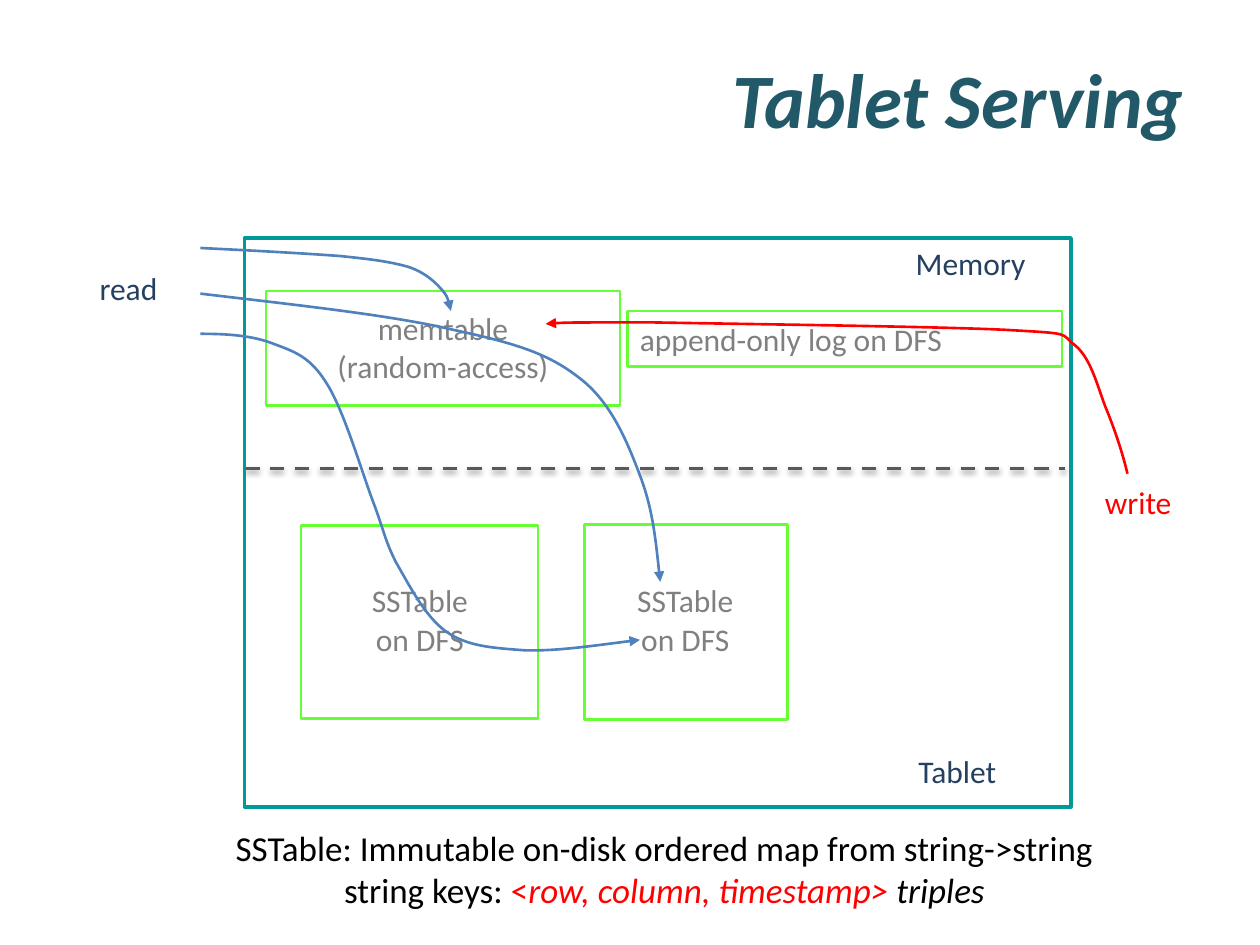
from lxml import etree
from pptx import Presentation
from pptx import util as u
from pptx.dml import color
from pptx.enum import dml, shapes, text
from pptx.oxml import ns, parse_xml

theme = {
    "font": "Calibri",
    "title": "215968", "navy": "254061", "grey": "808080", "black": "000000",
    "write": "FF0000", "read": "4F81BD", "store": "66FF33", "tablet": "009999",
    "divider": "595959",
    "title_size": 44, "label_size": 18, "caption_size": 20,
}
CENTER, LEFT, RIGHT = text.PP_ALIGN.CENTER, text.PP_ALIGN.LEFT, text.PP_ALIGN.RIGHT


def write_text(frame, lines, size, align):
    """Each line is a list of runs: (wording, colour name, italic, bold)."""
    for index, runs in enumerate(lines):
        paragraph = frame.add_paragraph() if index else frame.paragraphs[0]
        paragraph.alignment = align
        for wording, colour, italic, bold in runs:
            run = paragraph.add_run()
            run.text = wording
            run.font.name = theme["font"]
            run.font.size = u.Pt(size)
            run.font.italic = italic
            run.font.bold = bold
            run.font.color.rgb = color.RGBColor.from_string(theme[colour])


def style_line(shape, colour, width):
    shape.line.color.rgb = color.RGBColor.from_string(theme[colour])
    shape.line.width = u.Pt(width)


presentation = Presentation()
presentation.slide_width, presentation.slide_height = u.Cm(25.4), u.Cm(19.05)
slide = presentation.slides.add_slide(presentation.slide_layouts[5])

# Title
title = slide.shapes.title
title.left, title.top, title.width, title.height = u.Cm(1.27), u.Cm(0.76), u.Cm(22.86), u.Cm(2.41)
title.text_frame.vertical_anchor = text.MSO_ANCHOR.MIDDLE
write_text(title.text_frame, [[("Tablet Serving", "title", True, True)]], theme["title_size"], RIGHT)

# Dashed divider between memory and disk, with a soft shadow
divider = slide.shapes.add_connector(
    shapes.MSO_CONNECTOR.STRAIGHT, u.Cm(4.95), u.Cm(9.45), u.Cm(21.46), u.Cm(9.45))
style_line(divider, "divider", 2)
divider.line.dash_style = dml.MSO_LINE.DASH
divider._element.spPr.append(parse_xml(
    f'<a:effectLst {ns.nsdecls("a")}>'
    '<a:outerShdw blurRad="40000" dist="20000" dir="5400000" rotWithShape="0">'
    '<a:srgbClr val="000000"><a:alpha val="38000"/></a:srgbClr>'
    '</a:outerShdw></a:effectLst>'))

# Boxes and labels: left, top, width, height, outline, outline width, lines, text colour, alignment
sstable = ["SSTable", "on DFS"]
boxes = [
    (6.07, 10.59, 4.78, 3.89, "store", 1.5, [], None, CENTER),
    (6.99, 11.66, 2.95, 1.78, None, 0, sstable, "grey", CENTER),
    (11.79, 10.57, 4.09, 3.94, "store", 1.5, [], None, CENTER),
    (12.34, 11.66, 2.95, 1.78, None, 0, sstable, "grey", CENTER),
    (5.36, 5.87, 7.14, 2.31, "store", 1.5, ["memtable", "(random-access)"], "grey", CENTER),
    (22.02, 9.68, 1.85, 1.02, None, 0, ["write"], "write", CENTER),
    (1.75, 5.36, 1.68, 0.99, None, 0, ["read"], "navy", CENTER),
    (4.93, 4.8, 16.66, 11.46, "tablet", 2.25, [], None, CENTER),
    (18.26, 15.11, 2.08, 0.99, None, 0, ["Tablet"], "navy", CENTER),
    (12.65, 6.27, 8.76, 1.12, "store", 1.5, ["append-only log on DFS"], "grey", LEFT),
]
for left, top, width, height, outline, line_width, lines, colour, align in boxes:
    box = slide.shapes.add_shape(
        shapes.MSO_SHAPE.ROUNDED_RECTANGLE, u.Cm(left), u.Cm(top), u.Cm(width), u.Cm(height))
    box.adjustments[0] = 0
    box.shadow.inherit = False
    box.fill.background()
    if outline:
        style_line(box, outline, line_width)
    else:
        box.line.fill.background()
    if lines:
        frame = box.text_frame
        frame.word_wrap = bool(outline)
        frame.vertical_anchor = text.MSO_ANCHOR.MIDDLE if outline else text.MSO_ANCHOR.TOP
        write_text(frame, [[(wording, colour, False, False)] for wording in lines],
                   theme["label_size"], align)
        if align == CENTER:
            frame.paragraphs[0].line_spacing = 0.93

# Read and write paths: start point, then three Bézier points per segment
curves = [
    ("read", [
        (4.04, 5.92), (5.97, 6.15), (7.87, 6.35), (9.14, 6.65),
        (10.44, 6.93), (11.07, 7.14), (11.68, 7.62),
        (12.32, 8.1), (12.65, 8.92), (12.9, 9.58),
        (13.16, 10.26), (13.23, 11), (13.31, 11.73)]),
    ("read", [
        (4.04, 6.73), (4.57, 6.73), (5.08, 6.76), (5.51, 6.93),
        (5.94, 7.09), (6.25, 7.19), (6.58, 7.72),
        (6.93, 8.26), (7.29, 9.5), (7.52, 10.11),
        (7.75, 10.72), (7.75, 10.87), (7.98, 11.33),
        (8.23, 11.76), (8.56, 12.42), (8.99, 12.73),
        (9.42, 13.03), (9.91, 13.06), (10.57, 13.11),
        (11.23, 13.13), (12.07, 13), (12.9, 12.9)]),
    ("write", [
        (22.73, 9.55), (22.63, 9.14), (22.5, 8.74), (22.33, 8.31),
        (22.15, 7.9), (22.02, 7.24), (21.67, 6.96),
        (21.34, 6.71), (21.69, 6.73), (20.27, 6.65),
        (18.85, 6.58), (14.71, 6.53), (13.16, 6.5),
        (11.61, 6.5), (11.3, 6.5), (11, 6.53)]),
    ("read", [
        (4.04, 5), (5.08, 5.05), (6.15, 5.11), (6.83, 5.16),
        (7.54, 5.23), (7.87, 5.28), (8.23, 5.38),
        (8.56, 5.49), (8.74, 5.66), (8.89, 5.82),
        (9.02, 5.97), (9.07, 6.12), (9.09, 6.27)]),
]
for colour, points in curves:
    start, *rest = [(u.Cm(x), u.Cm(y)) for x, y in points]
    builder = slide.shapes.build_freeform(*start)
    builder.add_line_segments(rest, close=False)
    curve = builder.convert_to_shape()
    curve.shadow.inherit = False
    curve.fill.background()
    style_line(curve, colour, 1.5)
    # Turn every three straight segments into one cubic segment
    segments = list(curve._element.iter(ns.qn("a:lnTo")))
    outline = segments[0].getparent()
    for first in range(0, len(segments), 3):
        cubic = etree.SubElement(outline, ns.qn("a:cubicBezTo"))
        for segment in segments[first:first + 3]:
            cubic.append(segment[0])
            outline.remove(segment)
    line_element = curve._element.spPr.find(ns.qn("a:ln"))
    etree.SubElement(line_element, ns.qn("a:tailEnd"), type="triangle")

# Memory label and caption
memory = slide.shapes.add_textbox(u.Cm(18.21), u.Cm(4.8), u.Cm(3.45), u.Cm(1.27))
memory.text_frame.word_wrap = True
write_text(memory.text_frame, [[("Memory", "navy", False, False)]], theme["label_size"], LEFT)

caption = slide.shapes.add_textbox(u.Cm(2.69), u.Cm(16.54), u.Cm(21.41), u.Cm(1.96))
caption.text_frame.word_wrap = True
write_text(caption.text_frame, [
    [("SSTable: Immutable on-disk ordered map from string->string", "black", False, False)],
    [("string keys: ", "black", False, False), ("<", "write", False, False),
     ("row, column, timestamp> ", "write", True, False), ("triples", "black", True, False)],
], theme["caption_size"], CENTER)

presentation.save("out.pptx")
